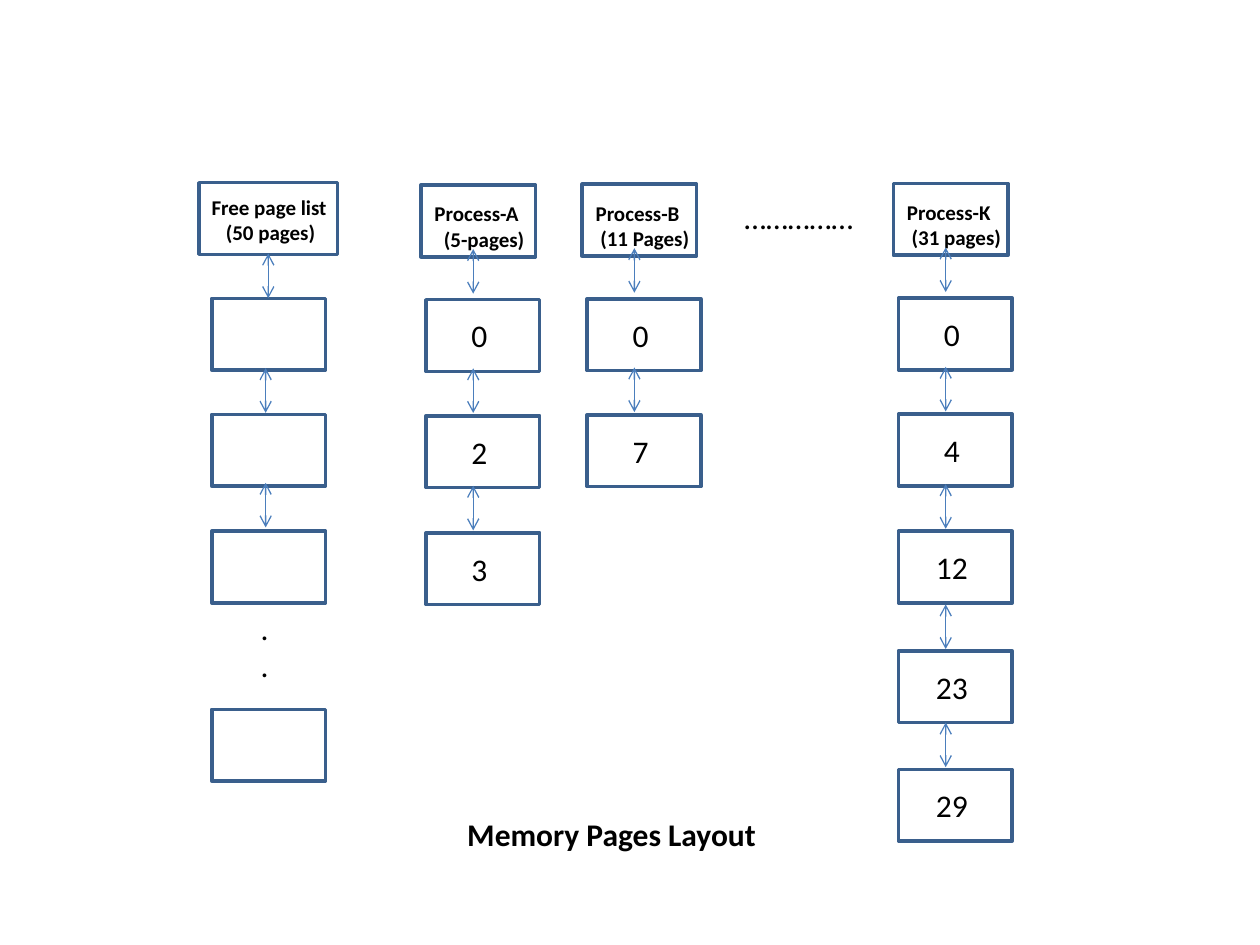
from dataclasses import dataclass
from lxml.etree import SubElement
from pptx import Presentation
from pptx.dml.color import RGBColor
from pptx.enum.shapes import MSO_CONNECTOR, MSO_SHAPE
from pptx.enum.text import PP_ALIGN
from pptx.oxml.ns import qn
from pptx.util import Pt


@dataclass(frozen=True)
class Theme:
    font: str = "Calibri"
    text: RGBColor = RGBColor(0, 0, 0)
    outline: RGBColor = RGBColor(0x3A, 0x5F, 0x8C)
    arrow: RGBColor = RGBColor(0x4B, 0x7E, 0xBC)
    label_size: int = 12
    body_size: int = 18
    outline_width: float = 2
    arrow_width: float = 0.75


THEME = Theme()
CELL_WIDTH, CELL_HEIGHT = 65, 41
ARROW_LENGTH = 25.5


def add_text(page, lines, left, top, width, height, size=THEME.body_size,
             bold=False, align=PP_ALIGN.LEFT, indent=0):
    box = page.shapes.add_textbox(Pt(left), Pt(top), Pt(width), Pt(height))
    frame = box.text_frame
    frame.word_wrap = False
    for index, line in enumerate(lines):
        para = frame.paragraphs[0] if index == 0 else frame.add_paragraph()
        para.alignment = align
        if index and indent:
            para._p.get_or_add_pPr().set("marL", str(Pt(indent)))
        span = para.add_run()
        span.text = line
        span.font.name = THEME.font
        span.font.size = Pt(size)
        span.font.bold = bold
        span.font.color.rgb = THEME.text


def add_cell(page, left, top, width=CELL_WIDTH):
    cell = page.shapes.add_shape(
        MSO_SHAPE.RECTANGLE, Pt(left), Pt(top), Pt(width), Pt(CELL_HEIGHT))
    cell.shadow.inherit = False
    cell.fill.background()
    cell.line.color.rgb = THEME.outline
    cell.line.width = Pt(THEME.outline_width)


def add_arrow(page, x, top):
    arrow = page.shapes.add_connector(
        MSO_CONNECTOR.STRAIGHT, Pt(x), Pt(top), Pt(x), Pt(top + ARROW_LENGTH))
    arrow.line.color.rgb = THEME.arrow
    arrow.line.width = Pt(THEME.arrow_width)
    line = arrow.line._get_or_add_ln()
    for end in ("a:headEnd", "a:tailEnd"):
        SubElement(line, qn(end)).set("type", "arrow")
    SubElement(arrow._element.spPr, qn("a:effectLst"))


def add_free_list(page, left, top):
    add_cell(page, left, top, width=79)
    add_text(page, ["Free page list", "(50 pages)"], left, top + 3, 81, 36,
             size=THEME.label_size, bold=True, indent=8.2)
    for offset in (66.2, 132.5, 199.2, 301):
        add_cell(page, left + 7.2, top + offset)
    for x, offset in ((39.5, 40.5), (38, 106), (38, 171.5)):
        add_arrow(page, left + x, top + offset)
    add_text(page, [".", "."], left + 28, top + 239.8, 32, 51)


def add_process(page, left, top, label, numbers, indent=2.7):
    add_cell(page, left, top, width=65.5)
    add_text(page, label, left + 0.7, top + 5.5, 69, 36,
             size=THEME.label_size, bold=True, indent=indent)
    cell_tops = (65.5, 131.8, 198.7, 267, 334.8)
    arrow_tops = (36.5, 104.7, 171.8, 240.5, 308)
    for number, cell_top, arrow_top in zip(numbers, cell_tops, arrow_tops):
        add_cell(page, left + 2.9, top + cell_top)
        add_arrow(page, left + 29.9, top + arrow_top)
        add_text(page, [str(number)], left + 17, top + cell_top + 6, 33, 29,
                 align=PP_ALIGN.CENTER)


def add_memory_layout(page, left, top):
    add_free_list(page, left, top)
    add_process(page, left + 126.7, top + 1.4, ["Process-A", "(5-pages)"],
                (0, 2, 3), indent=5.4)
    add_process(page, left + 218.8, top + 0.9, ["Process-B", "(11 Pages)"], (0, 7))
    add_text(page, ["……………"], left + 304.5, top + 5, 78.5, 29)
    add_process(page, left + 396.7, top + 0.5, ["Process-K", "(31 pages)"],
                (0, 4, 12, 23, 29))
    add_text(page, ["Memory Pages Layout"], left + 146.1, top + 357.8, 181, 29,
             bold=True)


deck = Presentation()
deck.slide_width, deck.slide_height = Pt(720), Pt(540)
slide = deck.slides.add_slide(deck.slide_layouts[6])
add_memory_layout(slide, 113.8, 104.4)
deck.save("out.pptx")
